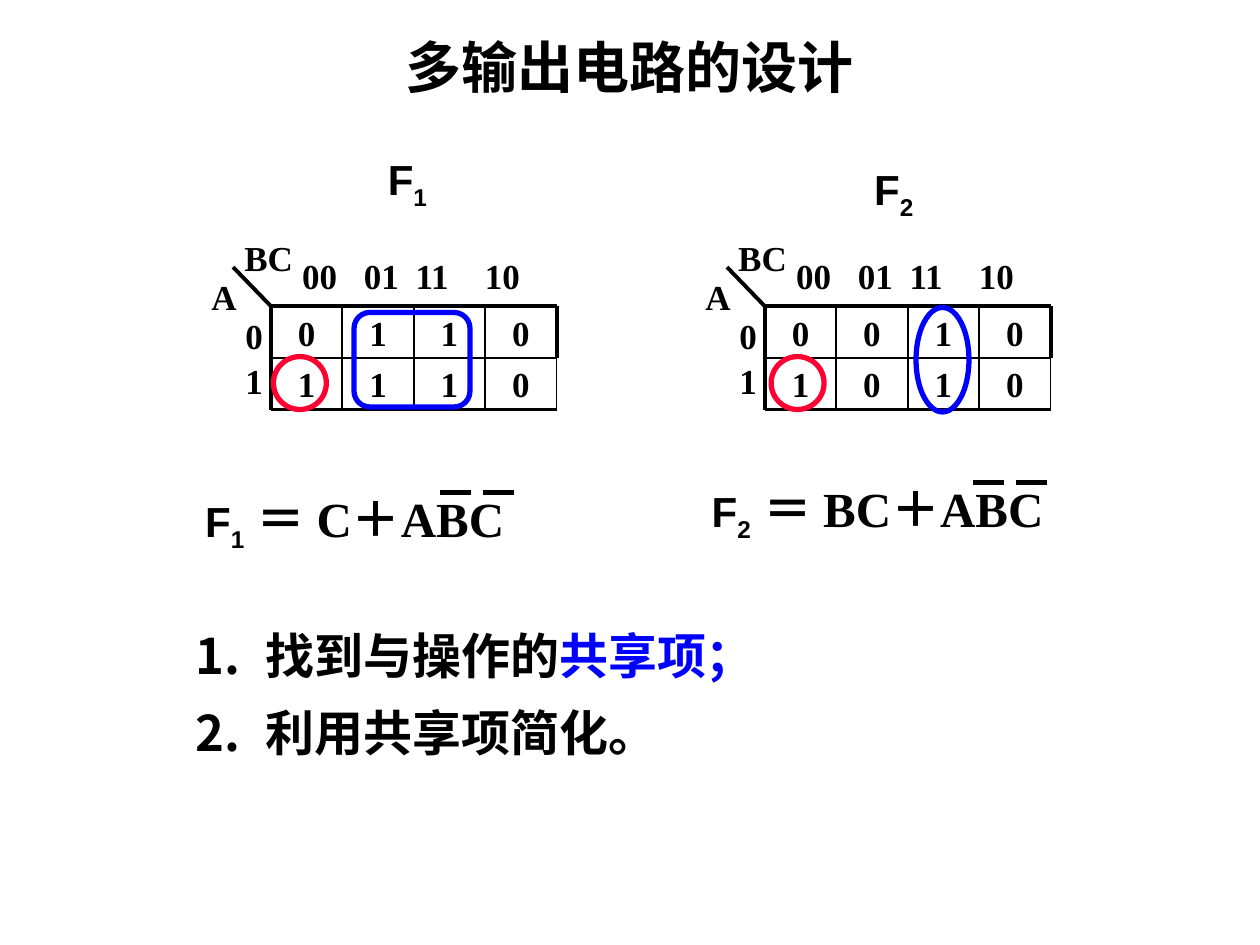
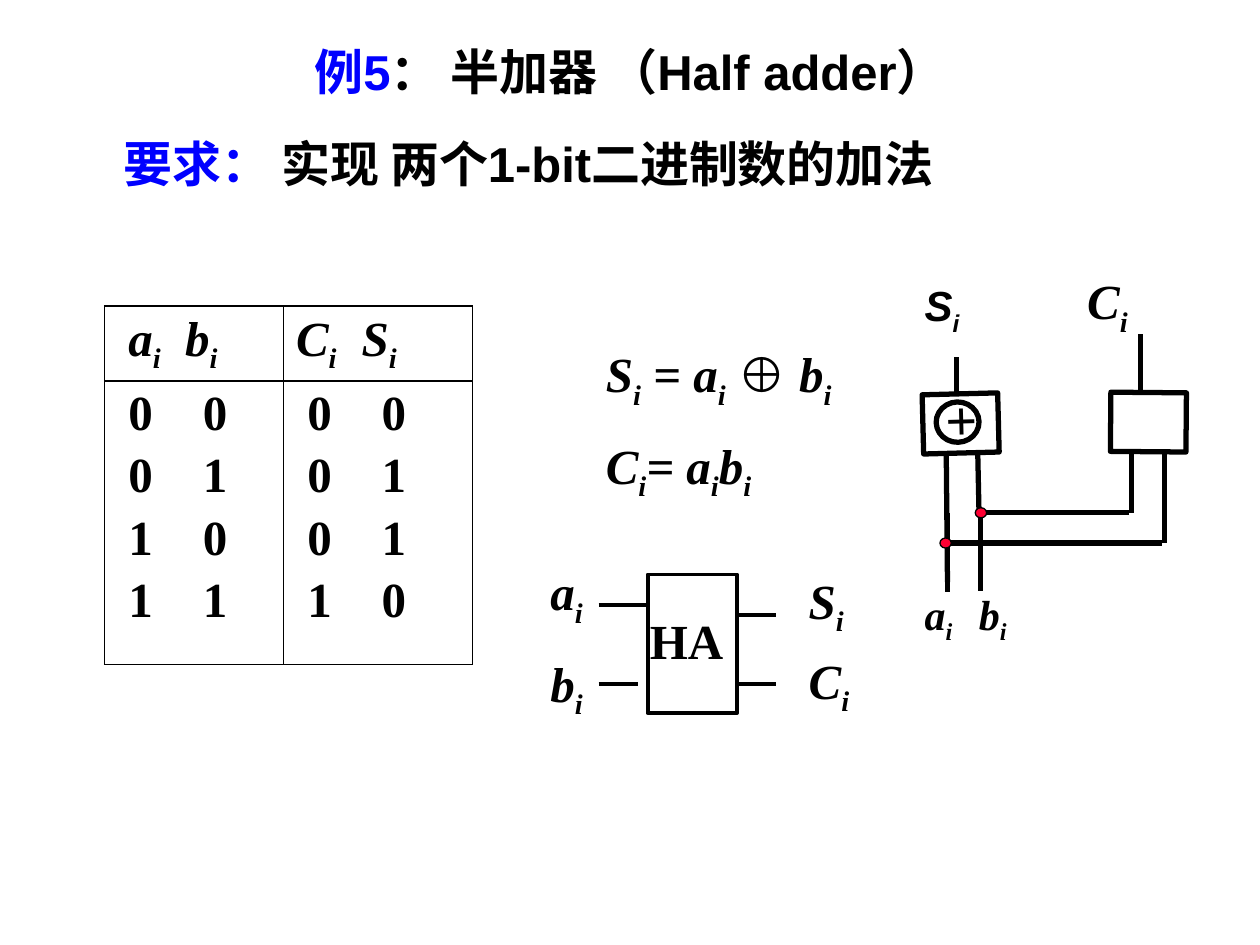
from lxml import etree
from pptx import Presentation
from pptx.dml.color import RGBColor
from pptx.enum.shapes import MSO_CONNECTOR, MSO_SHAPE
from pptx.enum.text import MSO_ANCHOR, PP_ALIGN
from pptx.oxml.ns import qn
from pptx.util import Inches, Pt

BLACK = RGBColor(0, 0, 0)
BLUE = RGBColor(0, 0, 255)
RED = RGBColor(255, 0, 51)
RECT, OVAL, ROUNDED = MSO_SHAPE.RECTANGLE, MSO_SHAPE.OVAL, MSO_SHAPE.ROUNDED_RECTANGLE
STRAIGHT = MSO_CONNECTOR.STRAIGHT
LEFT, CENTER = PP_ALIGN.LEFT, PP_ALIGN.CENTER
MIDDLE = MSO_ANCHOR.MIDDLE

# Run styles: font, size, colour, italic
SANS, SERIF = "Arial", "Times New Roman"
TITLE = (SANS, 32, BLACK, False)
BODY = (SANS, 28, BLACK, False)
BODY_BLUE = (SANS, 28, BLUE, False)
FUNCTION = (SANS, 24, BLACK, False)
MAP = (SERIF, 20, BLACK, False)
FORMULA = (SERIF, 28, BLACK, False)
VARIABLE = (SERIF, 28, BLACK, True)
PIN = (SERIF, 24, BLACK, True)
SANS_PIN = (SANS, 24, BLACK, True)


def write(frame, lines, *styles, align=LEFT, gap=0, spacing=None, tabs=(), wrap=True):
    """Fill a frame; "|" starts the next style, "_" lowers one character."""
    frame.word_wrap = wrap
    for index, line in enumerate(lines):
        paragraph = frame.paragraphs[0] if index == 0 else frame.add_paragraph()
        paragraph.alignment = align
        if index:
            paragraph.space_before = Pt(gap)
        if spacing:
            paragraph.line_spacing = spacing
        if tabs:
            tab_list = etree.SubElement(paragraph._p.get_or_add_pPr(), qn("a:tabLst"))
            for stop in tabs:
                etree.SubElement(tab_list, qn("a:tab"), pos=str(Inches(stop)), algn="l")
        for piece, (font, size, color, italic) in zip(line.split("|"), styles):
            plain, *lowered = piece.split("_")
            parts = [(plain, False)]
            for part in lowered:
                parts += [(part[0], True), (part[1:], False)]
            for content, is_lowered in parts:
                if not content:
                    continue
                run = paragraph.add_run()
                run.text = content
                run.font.name, run.font.size = font, Pt(size)
                run.font.bold, run.font.italic = True, italic
                run.font.color.rgb = color
                if is_lowered:
                    run._r.get_or_add_rPr().set("baseline", "-25000")


def draw_line(slide, x1, y1, x2, y2, width):
    line = slide.shapes.add_connector(STRAIGHT, Inches(x1), Inches(y1), Inches(x2), Inches(y2))
    line.line.color.rgb = BLACK
    line.line.width = Pt(width)
    etree.SubElement(line._element.spPr, qn("a:effectLst"))


prs = Presentation()
prs.slide_width, prs.slide_height = Inches(10), Inches(7.5)
blank = prs.slide_layouts[6]

# ---- Slide 1: circuits with several outputs ----
slide = prs.slides.add_slide(blank)

# Karnaugh maps
CELL_W, CELL_H, MAP_TOP = 0.567, 0.41, 2.43
MAP_BOTTOM = MAP_TOP + 2 * CELL_H
for map_left, rows in [(2.15, ("0110", "1110")), (6.07, ("0010", "1010"))]:
    map_right = map_left + 4 * CELL_W
    for row, values in enumerate(rows):
        for column, value in enumerate(values):
            cell = slide.shapes.add_shape(
                RECT, Inches(map_left + column * CELL_W), Inches(MAP_TOP + row * CELL_H),
                Inches(CELL_W), Inches(CELL_H))
            cell.shadow.inherit = False
            cell.fill.background()
            cell.line.color.rgb = BLACK
            cell.line.width = Pt(1)
            write(cell.text_frame, [value], MAP, align=CENTER)
    for edge in [
        (map_left, MAP_TOP, map_right, MAP_TOP),
        (map_left, MAP_BOTTOM, map_right, MAP_BOTTOM),
        (map_left, MAP_TOP, map_left, MAP_BOTTOM),
        (map_right, MAP_TOP, map_right, MAP_TOP + CELL_H),
        (map_left - 0.3, MAP_TOP - 0.31, map_left, MAP_TOP),
    ]:
        draw_line(slide, *edge, 2.25)
    for dx, top, width, height, lines, options in [
        (0.15, 1.97, 2.11, 0.43, ["00\t01\t11\t10"], {"tabs": (0.49, 0.9, 1.45)}),
        (-0.3, 2.55, 0.34, 0.7, ["0", "1"], {"gap": 10, "spacing": 0.65}),
        (-0.57, 2.14, 0.3, 0.43, ["A"], {}),
        (-0.31, 1.83, 0.69, 0.43, ["BC"], {}),
    ]:
        label = slide.shapes.add_textbox(
            Inches(map_left + dx), Inches(top), Inches(width), Inches(height))
        write(label.text_frame, lines, MAP, **options)

# Loops around the grouped terms
for kind, left, top, width, height, color in [
    (OVAL, 6.12, 2.83, 0.42, 0.42, RED),
    (OVAL, 2.17, 2.83, 0.42, 0.42, RED),
    (ROUNDED, 2.81, 2.48, 0.92, 0.75, BLUE),
    (OVAL, 7.27, 2.44, 0.42, 0.83, BLUE),
]:
    loop = slide.shapes.add_shape(kind, Inches(left), Inches(top), Inches(width), Inches(height))
    loop.shadow.inherit = False
    loop.fill.background()
    loop.line.color.rgb = color
    loop.line.width = Pt(3)

# Function names and simplified expressions, with bars over A and B
for name, name_left, name_top, terms, left, top, bar_left in [
    ("F_1", 2.98, 1.17, " ＝ C＋ABC", 1.53, 3.83, 3.49),
    ("F_2", 6.84, 1.25, " ＝ BC＋ABC", 5.55, 3.75, 7.72),
]:
    heading = slide.shapes.add_textbox(
        Inches(name_left), Inches(name_top), Inches(1), Inches(0.5))
    write(heading.text_frame, [name], FUNCTION)
    expression = slide.shapes.add_textbox(
        Inches(left), Inches(top), Inches(3.25), Inches(0.57))
    write(expression.text_frame, [f"{name}|{terms}"], FUNCTION, FORMULA)
    for x in (bar_left, bar_left + 0.34):
        draw_line(slide, x, top + 0.08, x + 0.25, top + 0.08, 3)

# Numbered steps
steps = slide.shapes.add_textbox(Inches(1.45), Inches(4.77), Inches(7.95), Inches(1.33))
steps.text_frame.vertical_anchor = MIDDLE
write(steps.text_frame, ["找到与操作的|共享项；", "利用共享项简化。"], BODY, BODY_BLUE, spacing=1.3)
for paragraph in steps.text_frame.paragraphs:
    properties = paragraph._p.get_or_add_pPr()
    properties.set("marL", str(Inches(0.56)))
    properties.set("indent", str(Inches(-0.56)))
    etree.SubElement(properties, qn("a:buAutoNum"), type="arabicPeriod")

title = slide.shapes.add_textbox(0, Inches(0.21), prs.slide_width, Inches(0.64))
write(title.text_frame, ["多输出电路的设计"], TITLE, align=CENTER)

# ---- Slide 2: half adder ----
slide = prs.slides.add_slide(blank)

# Truth table
truth = slide.shapes.add_table(
    2, 2, Inches(0.83), Inches(2.43), Inches(2.92), Inches(2.82)).table
truth.first_row = truth.horz_banding = False
truth.columns[0].width, truth.columns[1].width = Inches(1.42), Inches(1.5)
truth.rows[0].height, truth.rows[1].height = Inches(0.57), Inches(2.25)
for row, column, lines, style, margin, stop in [
    (0, 0, ["a_i\tb_i"], VARIABLE, 0.19, 0.45),
    (0, 1, ["C_i\tS_i"], VARIABLE, 0.1, 0.52),
    (1, 0, ["0\t0", "0\t1", "1\t0", "1\t1"], FORMULA, 0.19, 0.59),
    (1, 1, ["0\t0", "0\t1", "0\t1", "1\t0"], FORMULA, 0.19, 0.59),
]:
    cell = truth.cell(row, column)
    cell.margin_left = Inches(margin)
    write(cell.text_frame, lines, style, gap=4.5, tabs=(stop,))
    borders = cell._tc.get_or_add_tcPr()
    for side in ("lnL", "lnR", "lnT", "lnB"):
        border = etree.SubElement(borders, qn(f"a:{side}"), w=str(Pt(1)))
        ink = etree.SubElement(border, qn("a:solidFill"))
        etree.SubElement(ink, qn("a:srgbClr"), val=str(BLACK))
    cell.fill.background()

# Gates and half adder block
for kind, left, top, width, height, turn, weight, symbol in [
    (RECT, 7.39, 3.06, 0.47, 0.6, 268.5, 3, ""),
    (OVAL, 7.44, 3.18, 0.32, 0.34, 268.5, 3, "+"),
    (RECT, 8.88, 3.05, 0.47, 0.6, 270.5, 3, ""),
    (RECT, 5.14, 4.56, 0.71, 1.1, 0, 2.25, ""),
]:
    block = slide.shapes.add_shape(kind, Inches(left), Inches(top), Inches(width), Inches(height))
    block.rotation = turn
    block.shadow.inherit = False
    block.fill.background()
    block.line.color.rgb = BLACK
    block.line.width = Pt(weight)
    if symbol:
        write(block.text_frame, [symbol], (SERIF, 32, BLACK, False), align=CENTER, wrap=False)

# Gate wires
for wire in [
    (7.52, 4.62, 7.51, 3.6), (7.77, 4.06, 7.76, 3.59),
    (8.96, 4.07, 7.77, 4.07), (7.78, 4.07, 7.78, 4.69),
    (7.59, 3.12, 7.59, 2.83), (9.05, 3.12, 9.05, 2.65),
    (9.22, 4.31, 7.52, 4.31), (7.52, 4.07, 7.52, 4.7),
    (8.98, 4.07, 8.98, 3.59), (9.24, 4.31, 9.24, 3.6),
]:
    draw_line(slide, *wire, 3)

# Half adder pins
for x1, x2, y in [(4.75, 5.14, 4.8), (4.75, 5.06, 5.43), (5.85, 6.16, 4.88), (5.85, 6.16, 5.43)]:
    draw_line(slide, x1, y, x2, y, 2.25)

# Junctions
for left, top in [(7.74, 4.03), (7.46, 4.27)]:
    junction = slide.shapes.add_shape(OVAL, Inches(left), Inches(top), Inches(0.09), Inches(0.08))
    junction.shadow.inherit = False
    junction.fill.solid()
    junction.fill.fore_color.rgb = RED
    junction.line.color.rgb = BLACK
    junction.line.width = Pt(0.75)

# Title, requirement, equations and pin names
for left, top, width, height, lines, styles, options in [
    (0, 0.28, 10, 0.57, ["例5|： 半加器 （Half adder）"], (BODY_BLUE, BODY), {"align": CENTER}),
    (0.88, 1.01, 8.27, 0.57, ["要求： |实现 两个1-bit二进制数的加法"], (BODY_BLUE, BODY), {}),
    (4.71, 2.68, 3.62, 1.27, ["S_i = a_i |⊕| b_i", "C_i= a_ib_i"],
     (VARIABLE, FORMULA, VARIABLE), {"gap": 14}),
    (7.24, 2.17, 0.69, 0.5, ["S_i"], (SANS_PIN,), {}),
    (8.53, 2.1, 0.87, 0.57, ["C_i"], (VARIABLE,), {}),
    (7.24, 4.62, 0.6, 0.5, ["a_i"], (PIN,), {}),
    (7.67, 4.62, 0.6, 0.5, ["b_i"], (PIN,), {}),
    (4.27, 4.41, 0.47, 1.28, ["a_i", "b_i"], (VARIABLE,), {"gap": 14, "wrap": False}),
    (6.32, 4.48, 0.49, 0.57, ["S_i"], (VARIABLE,), {"wrap": False}),
    (6.32, 5.11, 0.56, 0.57, ["C_i"], (VARIABLE,), {"wrap": False}),
    (5.06, 4.8, 0.78, 0.57, ["HA"], (FORMULA,), {"wrap": False}),
]:
    label = slide.shapes.add_textbox(Inches(left), Inches(top), Inches(width), Inches(height))
    write(label.text_frame, lines, *styles, **options)

prs.save("out.pptx")
